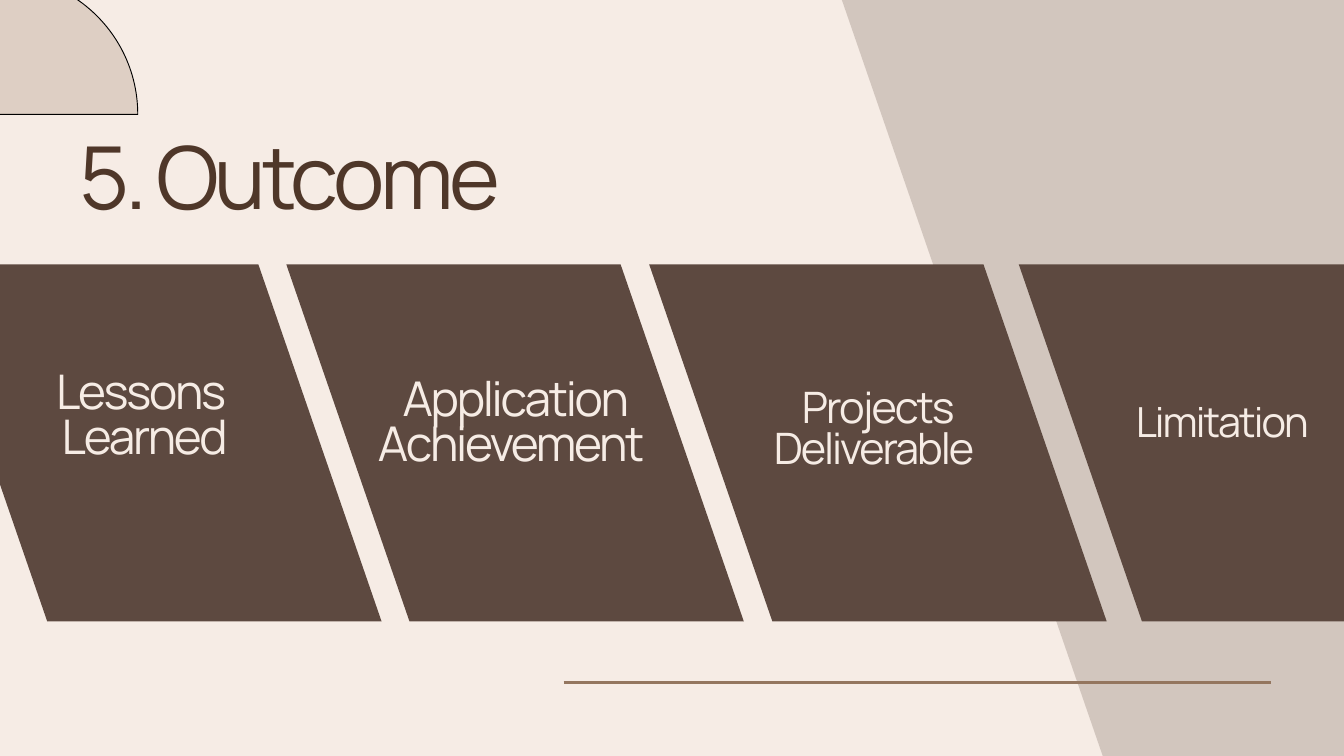
from lxml.etree import SubElement
from pptx import Presentation
from pptx.dml.color import RGBColor
from pptx.enum.text import MSO_ANCHOR, MSO_AUTO_SIZE, PP_ALIGN
from pptx.oxml.ns import qn
from pptx.util import Pt

CREAM = RGBColor(0xF6, 0xEC, 0xE5)
COCOA = RGBColor(0x5D, 0x49, 0x40)
ESPRESSO = RGBColor(0x4F, 0x37, 0x29)
TAN = RGBColor(0x94, 0x76, 0x5F)
BLACK = RGBColor(0, 0, 0)

# Content: text, box (left, top, width, height), size, line spacing, tracking
TITLE = (["5. Outcome"], (85, 155.2, 639, 100), 93, 87.4, -4.5)
TOPICS = [
    (-81.4, (["Lessons ", "Learned"], (-90, 401, 490, 104), 51.1, 48.1, -2.5)),
    (306.7, (["Application Achievement "], (347, 408, 409, 104), 51.3, 48.2, -2.5)),
    (695.5, (["Projects Deliverable "], (788, 419.4, 304, 93), 46.4, 43.6, -2.2)),
    (1091.5, (["Limitation "], (1161, 436.4, 304, 48), 44.4, 41.7, -2.1)),
]
WIDTH, HEIGHT = 1440, 810
TILE_TOP, TILE_WIDTH, TILE_HEIGHT, TILE_SLANT = 283.2, 358.2, 382.5, 132
WEDGE_LEFT, WEDGE_WIDTH, WEDGE_SLANT = 902, 758, 279.5
RULE_LEFT, RULE_RIGHT, RULE_Y = 604, 1362, 731.3

# Two stacked domes: corners, and the two handles of each curved side
DOME_CORNERS = [(147.6, 122.6), (-147.6, 122.6), (-82, -1), (-147.6, -1),
                (0, -148.4), (147.6, -1), (82, -1), (147.6, 122.6)]
DOME_HANDLES = {
    2: [(-147.6, 71.3), (-121.7, 25.9)],
    4: [(-147.6, -82), (-81.4, -148.4)],
    5: [(81.4, -148.4), (147.6, -82)],
    7: [(121.7, 25.9), (147.6, 71.3)],
}


def add_outline(slide, points, color, opacity=100, border=None):
    corners = [(Pt(x), Pt(y)) for x, y in points]
    builder = slide.shapes.build_freeform(*corners[0])
    builder.add_line_segments(corners[1:], close=True)
    outline = builder.convert_to_shape()
    outline.shadow.inherit = False
    outline.fill.solid()
    outline.fill.fore_color.rgb = color
    if opacity < 100:
        tint = outline.fill._xPr.find(".//" + qn("a:srgbClr"))
        SubElement(tint, qn("a:alpha")).set("val", str(opacity * 1000))
    if border is None:
        outline.line.fill.background()
    else:
        outline.line.color.rgb = border
        outline.line.width = Pt(1)
    return outline


def curve_sides(outline, handles):
    outline_path = outline._element.find(".//" + qn("a:path"))
    sides = list(outline_path)
    for number, pair in handles.items():
        side = sides[number]
        curve = SubElement(outline_path, qn("a:cubicBezTo"))
        for x, y in pair:
            handle = SubElement(curve, qn("a:pt"))
            handle.set("x", str(Pt(x) - outline.left))
            handle.set("y", str(Pt(y) - outline.top))
        curve.append(side[0])
        outline_path.replace(side, curve)


def slanted(left, top, width, height, slant):
    bottom = top + height
    return [(left, top), (left + width, top),
            (left + width + slant, bottom), (left + slant, bottom)]


def write(box, content, color, align):
    lines, place, size, spacing, tracking = content
    for side, length in zip(("left", "top", "width", "height"), place):
        setattr(box, side, Pt(length))
    frame = box.text_frame
    frame_format = {
        "word_wrap": True, "auto_size": MSO_AUTO_SIZE.NONE,
        "vertical_anchor": MSO_ANCHOR.TOP,
        "margin_left": 0, "margin_top": 0, "margin_right": 0, "margin_bottom": 0,
    }
    for key, value in frame_format.items():
        setattr(frame, key, value)
    paragraph_format = {"alignment": align, "line_spacing": Pt(spacing),
                        "space_before": Pt(0), "space_after": Pt(0)}
    for number, line in enumerate(lines):
        paragraph = frame.add_paragraph() if number else frame.paragraphs[0]
        for key, value in paragraph_format.items():
            setattr(paragraph, key, value)
        run = paragraph.add_run()
        run.text = line
        for key, value in {"name": "Manrope", "size": Pt(size), "bold": False}.items():
            setattr(run.font, key, value)
        run.font.color.rgb = color
        run._r.get_or_add_rPr().set("spc", str(round(tracking * 100)))


def main():
    deck = Presentation()
    deck.slide_width, deck.slide_height = Pt(WIDTH), Pt(HEIGHT)
    slide = deck.slides.add_slide(deck.slide_layouts[5])
    slide.background.fill.solid()
    slide.background.fill.fore_color.rgb = CREAM

    # Stacked domes in the corner, and the wedge on the right
    domes = add_outline(slide, DOME_CORNERS, TAN, 24, BLACK)
    curve_sides(domes, DOME_HANDLES)
    wedge = slanted(WEDGE_LEFT, 0, WEDGE_WIDTH, HEIGHT, WEDGE_SLANT)
    add_outline(slide, wedge, COCOA, 23)

    # Title
    write(slide.shapes.title, TITLE, ESPRESSO, PP_ALIGN.LEFT)

    # Slanted tiles with their topics
    for left, topic in TOPICS:
        tile = slanted(left, TILE_TOP, TILE_WIDTH, TILE_HEIGHT, TILE_SLANT)
        add_outline(slide, tile, COCOA)
        label = slide.shapes.add_textbox(0, 0, 0, 0)
        write(label, topic, CREAM, PP_ALIGN.CENTER)

    # Rule at the foot
    rule = slide.shapes.add_connector(
        1, Pt(RULE_LEFT), Pt(RULE_Y), Pt(RULE_RIGHT), Pt(RULE_Y))
    rule.line.color.rgb = TAN
    rule.line.width = Pt(3)
    SubElement(rule._element.spPr, qn("a:effectLst"))

    deck.save("out.pptx")


if __name__ == "__main__":
    main()
